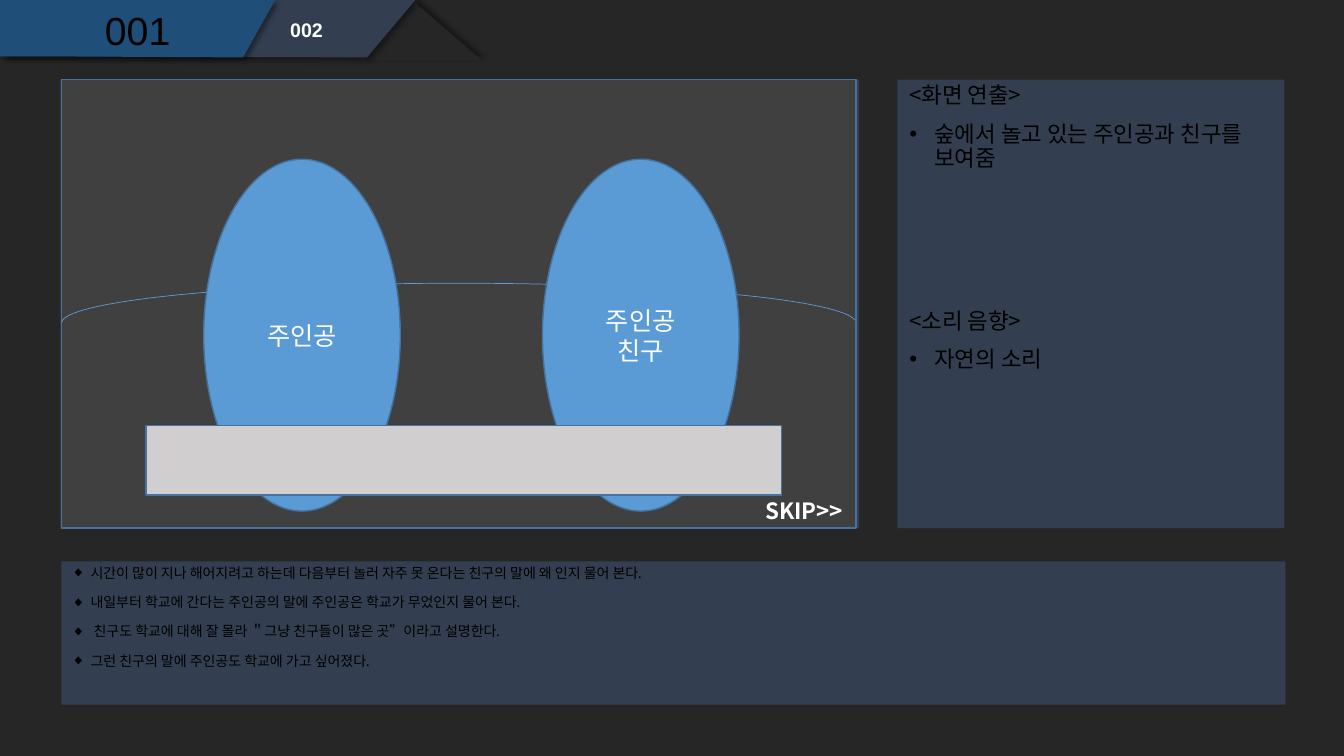
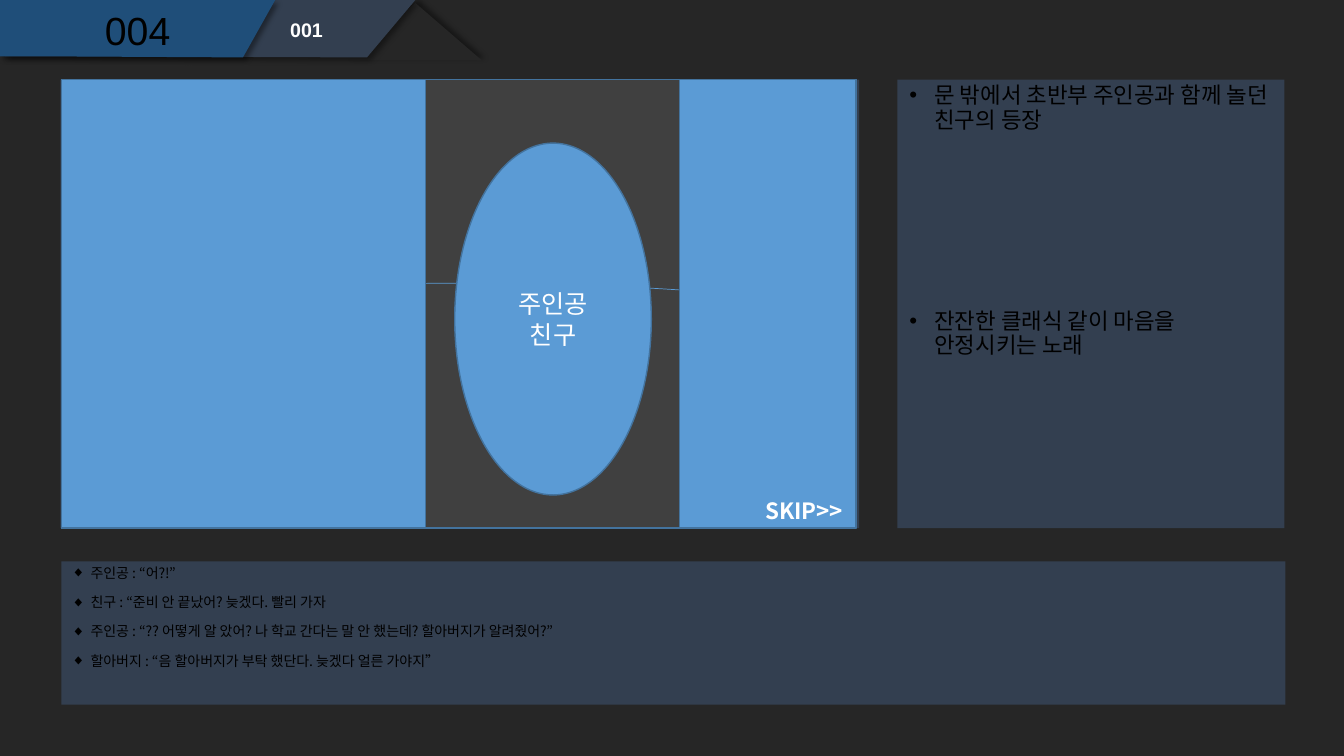
"""Build two storyboard slides: a scene sketch, direction and sound notes, and a script panel."""
from lxml import etree
from pptx import Presentation
from pptx.dml.color import RGBColor
from pptx.enum.shapes import MSO_SHAPE
from pptx.enum.text import MSO_ANCHOR, MSO_AUTO_SIZE, PP_ALIGN
from pptx.oxml.ns import qn
from pptx.util import Inches, Pt

RECT, OVAL = MSO_SHAPE.RECTANGLE, MSO_SHAPE.OVAL
ARC, TRIANGLE = MSO_SHAPE.ARC, MSO_SHAPE.ISOSCELES_TRIANGLE
TOP, MIDDLE = MSO_ANCHOR.TOP, MSO_ANCHOR.MIDDLE
LEFT, CENTER = PP_ALIGN.LEFT, PP_ALIGN.CENTER
GROW = MSO_AUTO_SIZE.SHAPE_TO_FIT_TEXT

BACK = RGBColor(0x26, 0x26, 0x26)
SLATE = RGBColor(0x33, 0x3F, 0x50)
NAVY = RGBColor(0x1F, 0x4E, 0x79)
STAGE = RGBColor(0x40, 0x40, 0x40)
BLUE = RGBColor(0x5B, 0x9B, 0xD5)
EDGE = RGBColor(0x43, 0x73, 0x9E)
GREY = RGBColor(0xD0, 0xCE, 0xCE)
BLACK = RGBColor(0, 0, 0)
WHITE = RGBColor(0xFF, 0xFF, 0xFF)
KOREAN = "Noto Sans CJK KR"

STAGE_X, STAGE_Y, STAGE_W, STAGE_H = 0.61, 0.79, 7.88, 4.45
ACTOR_W, ACTOR_H = 1.95, 3.49
HERO = ["주인공"]
FRIEND = ["주인공", "친구"]
TABS = [
    (SLATE, [(0.05, 0), (4.12, 0), (3.64, 0.57), (0.9, 0.56), (0.05, 0.56)]),
    (NAVY, [(0, 0), (2.73, 0), (2.41, 0.57), (0.57, 0.56), (0, 0.56)]),
]
PANELS = [
    (0.6, STAGE_Y, 7.92, STAGE_H),
    (8.9, STAGE_Y, 3.84, STAGE_H),
    (0.61, 5.57, 12.14, 1.42),
]
SCENES = [
    {
        "scene": "001",
        "cut": "002",
        "direction": ["<화면 연출>", "• 숲에서 놀고 있는 주인공과 친구를 보여줌"],
        "sound": ["<소리 음향>", "• 자연의 소리"],
        "script": [
            "◆ 시간이 많이 지나 해어지려고 하는데 다음부터 놀러 자주 못 온다는 친구의 말에 왜 인지 물어 본다.",
            "◆ 내일부터 학교에 간다는 주인공의 말에 주인공은 학교가 무었인지 물어 본다.",
            "◆  친구도 학교에 대해 잘 몰라 ＂그냥 친구들이 많은 곳”이라고 설명한다.",
            "◆ 그런 친구의 말에 주인공도 학교에 가고 싶어졌다.",
        ],
        "actors": [(2.02, 1.58, HERO), (5.38, 1.58, FRIEND)],
        "props": [(1.45, 4.22, 6.3, 0.69, GREY)],
    },
    {
        "scene": "004",
        "cut": "001",
        "direction": ["• 문 밖에서 초반부 주인공과 함께 놀던 친구의 등장"],
        "sound": ["• 잔잔한 클래식 같이 마음을 안정시키는 노래"],
        "script": [
            "◆ 주인공 : “어?!”",
            "◆ 친구 : “준비 안 끝났어? 늦겠다. 빨리 가자",
            "◆ 주인공 : “?? 어떻게 알 았어? 나 학교 간다는 말 안 했는데? 할아버지가 알려줬어?”",
            "◆ 할아버지 : “음 할아버지가 부탁 했단다. 늦겠다 얼른 가야지”",
        ],
        "actors": [(4.51, 1.42, FRIEND)],
        "props": [
            (STAGE_X, STAGE_Y, 3.61, STAGE_H, BLUE),
            (6.74, STAGE_Y, 1.75, STAGE_H, BLUE),
        ],
    },
]


def write(sp, lines, size=16, color=BLACK, font=KOREAN, bold=False, align=LEFT,
          anchor=TOP, indent=0.25, leading=0.9, before=10, wrap=True):
    """Fill a shape with paragraphs; a leading bullet mark becomes a real bullet."""
    tf = sp.text_frame
    tf.word_wrap = wrap
    tf.vertical_anchor = anchor
    for i, line in enumerate(lines):
        p = tf.add_paragraph() if i else tf.paragraphs[0]
        p.alignment, p.line_spacing = align, leading
        p.space_before = Pt(before if i else 0)
        if line[0] in "•◆":
            pPr = p._p.get_or_add_pPr()
            pPr.set("marL", str(Inches(indent)))
            pPr.set("indent", str(-Inches(indent)))
            etree.SubElement(pPr, qn("a:buFont"), typeface="Arial")
            etree.SubElement(pPr, qn("a:buChar"), char=line[0])
            line = line[2:]
        r = p.add_run()
        r.text = line
        r.font.size, r.font.bold, r.font.name = Pt(size), bold, font
        r.font.color.rgb = color
        etree.SubElement(r._r.get_or_add_rPr(), qn("a:ea"), typeface=font)


def add_shape(s, kind, x, y, w, h, fill=None, line=None, weight=1):
    """Add a flat preset shape; without a colour, fill or line is left off."""
    sp = s.shapes.add_shape(kind, Inches(x), Inches(y), Inches(w), Inches(h))
    sp.shadow.inherit = False
    if fill is None:
        sp.fill.background()
    else:
        sp.fill.solid()
        sp.fill.fore_color.rgb = fill
    if line is None:
        sp.line.fill.background()
    else:
        sp.line.color.rgb = line
        sp.line.width = Pt(weight)
    return sp


prs = Presentation()
prs.slide_width, prs.slide_height = Inches(13.33), Inches(7.5)
background = prs.slide_master.background.fill
background.solid()
background.fore_color.rgb = BACK

for scene in SCENES:
    s = prs.slides.add_slide(prs.slide_layouts[6])

    header = [(add_shape(s, TRIANGLE, 3.46, 0.03, 1.32, 0.57, BACK), 315)]
    for color, points in TABS:
        corners = [(Inches(x), Inches(y)) for x, y in points]
        builder = s.shapes.build_freeform(*corners[0])
        builder.add_line_segments(corners[1:])
        sp = builder.convert_to_shape()
        sp.shadow.inherit = False
        sp.fill.solid()
        sp.fill.fore_color.rgb = color
        sp.line.fill.background()
        header.append((sp, 45))
    for sp, angle in header:
        effects = sp._element.spPr.find(qn("a:effectLst"))
        shadow = etree.SubElement(effects, qn("a:outerShdw"), blurRad=str(Pt(4)),
                                  dist=str(Pt(3)), dir=str(angle * 60000))
        tint = etree.SubElement(shadow, qn("a:srgbClr"), val="000000")
        etree.SubElement(tint, qn("a:alpha"), val="40000")

    for panel in PANELS:
        add_shape(s, RECT, *panel, SLATE)

    texts = [
        ("cut", 2.78, 0.15, 1, 0.32,
         {"size": 14, "color": WHITE, "font": "Arial", "bold": True}),
        ("scene", 0.61, 0.06, 1.51, 0.53,
         {"size": 28, "font": "Arial", "align": CENTER, "anchor": MIDDLE}),
        ("direction", 8.92, 0.79, 3.84, 2.21, {}),
        ("sound", 8.92, 3.03, 3.84, 2.21, {}),
        ("script", 0.61, 5.57, 6.06, 1.42, {"size": 10, "indent": 0.19}),
    ]
    for key, x, y, w, h, style in texts:
        sp = s.shapes.add_textbox(Inches(x), Inches(y), Inches(w), Inches(h))
        lines = scene[key]
        write(sp, [lines] if isinstance(lines, str) else lines, **style)

    add_shape(s, RECT, STAGE_X, STAGE_Y, STAGE_W, STAGE_H, STAGE, EDGE)
    horizon = add_shape(s, ARC, STAGE_X, 2.81, STAGE_W, 0.79, line=BLUE, weight=0.5)
    horizon.adjustments[0], horizon.adjustments[1] = 107.99, 215.75
    for x, y, name in scene["actors"]:
        sp = add_shape(s, OVAL, x, y, ACTOR_W, ACTOR_H, BLUE, EDGE)
        write(sp, name, size=18, color=WHITE, align=CENTER, anchor=MIDDLE,
              leading=1.0, before=0)
    for x, y, w, h, color in scene["props"]:
        add_shape(s, RECT, x, y, w, h, color, EDGE)

    sp = s.shapes.add_textbox(Inches(7.49), Inches(4.88), Inches(1), Inches(0.37))
    write(sp, ["SKIP>>"], color=WHITE, bold=True, leading=1.0, wrap=False)
    sp.text_frame.auto_size = GROW

prs.save("out.pptx")
